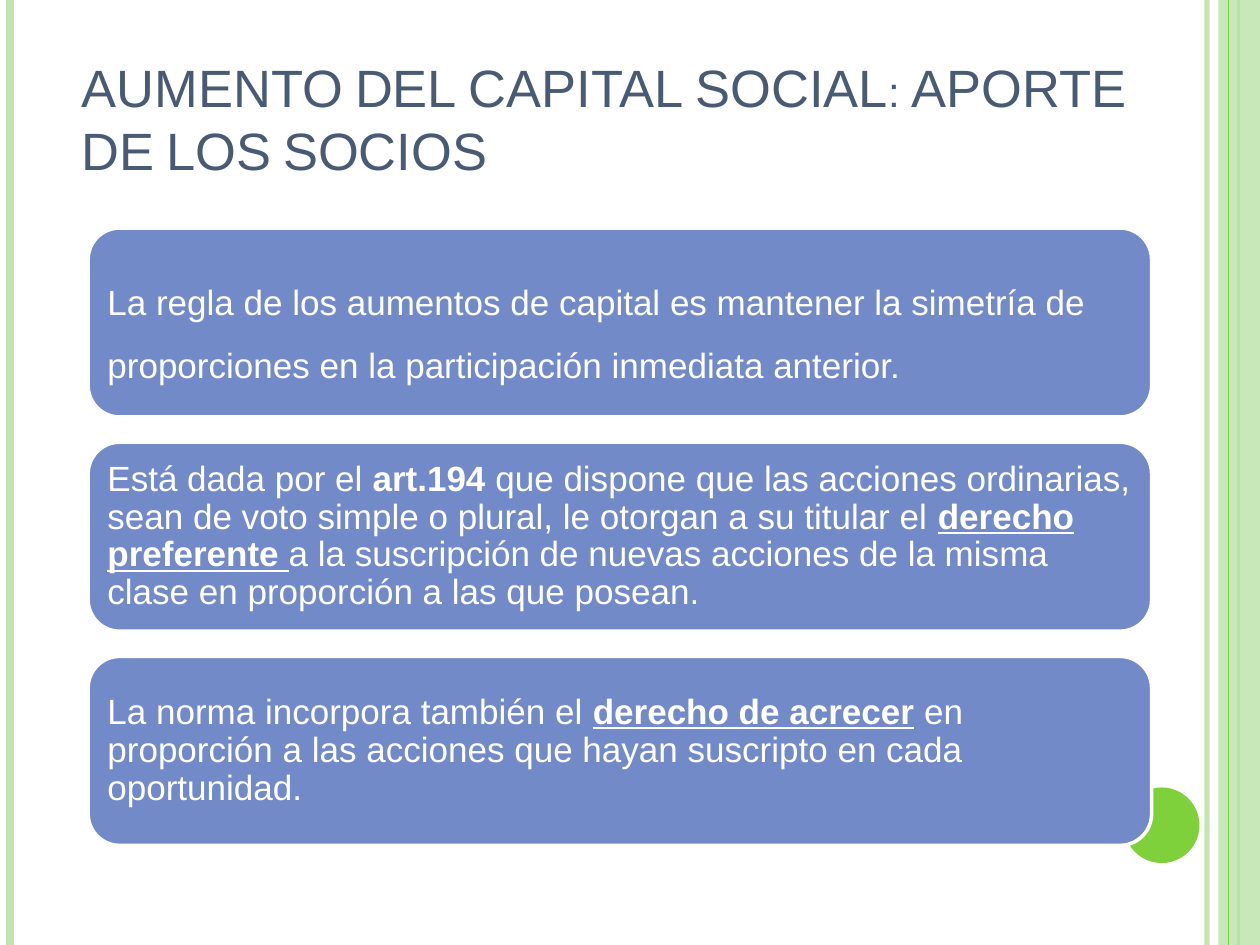
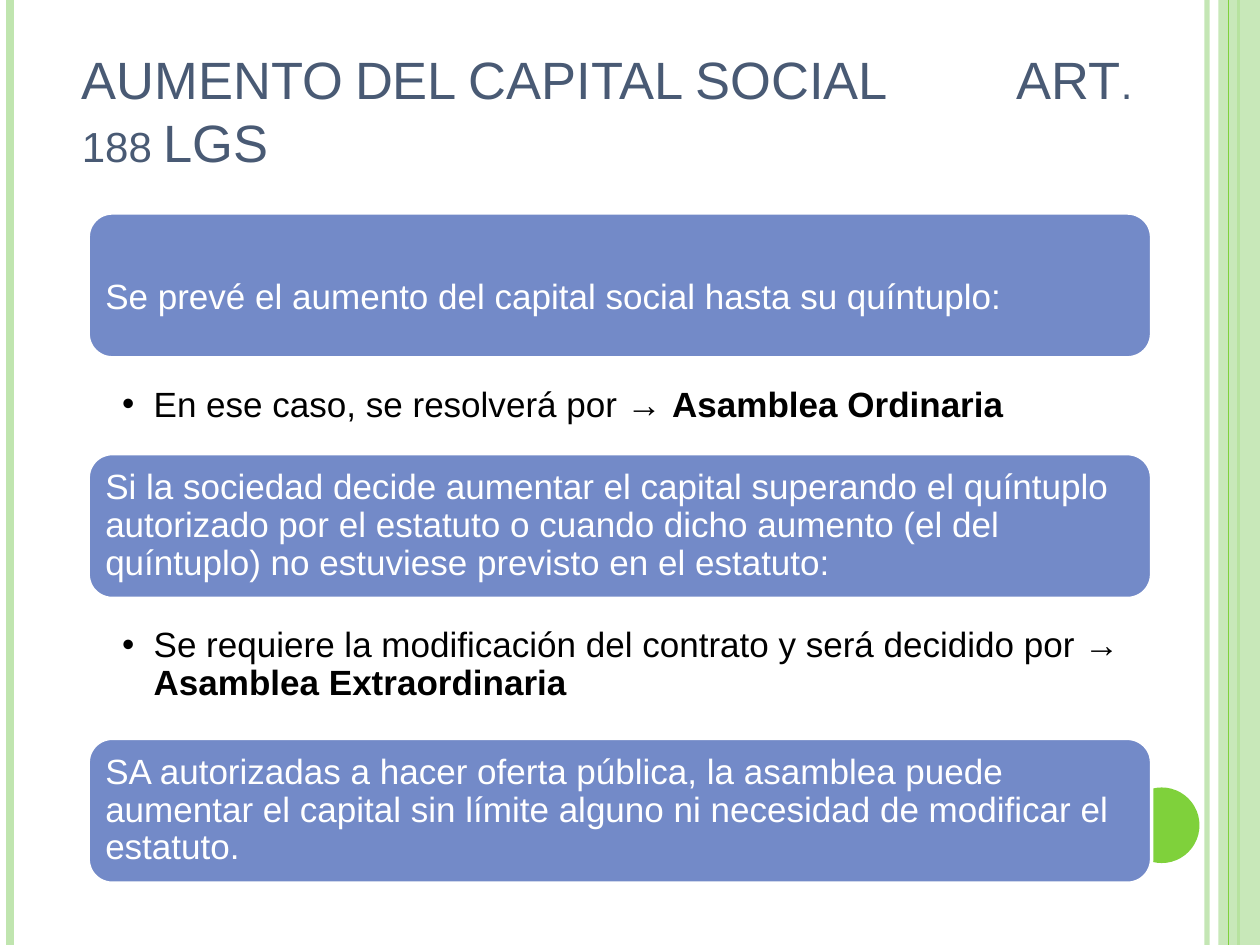
from dataclasses import dataclass

from lxml import etree
from pptx import Presentation
from pptx.dml.color import RGBColor
from pptx.enum.shapes import MSO_CONNECTOR, MSO_SHAPE
from pptx.enum.text import MSO_ANCHOR, MSO_AUTO_SIZE, PP_ALIGN
from pptx.oxml.ns import qn
from pptx.util import Inches, Pt

STRAIGHT = MSO_CONNECTOR.STRAIGHT
RECTANGLE, OVAL, ROUNDED = MSO_SHAPE.RECTANGLE, MSO_SHAPE.OVAL, MSO_SHAPE.ROUNDED_RECTANGLE
TOP, MIDDLE, BOTTOM = MSO_ANCHOR.TOP, MSO_ANCHOR.MIDDLE, MSO_ANCHOR.BOTTOM
LEFT = PP_ALIGN.LEFT
NO_AUTOFIT = MSO_AUTO_SIZE.NONE

PALE_GREEN = RGBColor(0xC0, 0xE5, 0xAF)
GREEN = RGBColor(0x7F, 0xD1, 0x3B)
SLATE = RGBColor(0x49, 0x5A, 0x74)
BLUE = RGBColor(0x73, 0x8A, 0xC8)
WHITE = RGBColor(0xFF, 0xFF, 0xFF)
BLACK = RGBColor(0x00, 0x00, 0x00)
FONT = "Arial"

# The slide is a grid of 100 columns by 75 rows.
COLUMNS, ROWS = 100, 75
WIDTH, HEIGHT = Inches(10), Inches(7.5)
CARD_LEFT, CARD_COLUMNS = 7, 84.4
BULLET_ROWS = 9.6


@dataclass(frozen=True)
class Span:
    text: str
    bold: bool = False
    underline: bool = False


@dataclass(frozen=True)
class Block:
    """A statement: a blue card, or a bullet on the plain background."""
    top: float
    spans: tuple[Span, ...]
    spacing: float = 0.9
    bullet: bool = False


@dataclass(frozen=True)
class Page:
    title: str
    title_top: float
    card_rows: float
    blocks: tuple[Block, ...]
    title_tab: float = 0


@dataclass(frozen=True)
class Stripe:
    column: float
    color: RGBColor
    weight: float
    opacity: int = 100


STRIPES = (
    Stripe(95.8, PALE_GREEN, 3, 93),
    Stripe(0.8, PALE_GREEN, 4.5),
    Stripe(98.3, GREEN, 1.5),
    Stripe(97.5, GREEN, 0.75),
)

PAGES = (
    Page(
        "AUMENTO DEL CAPITAL SOCIAL: APORTE DE LOS SOCIOS", 0.7, 15,
        (
            Block(18.1, (Span(
                "La regla de los aumentos de capital es mantener la simetría de "
                "proporciones en la participación inmediata anterior."),), 1.5),
            Block(35.1, (
                Span("Está dada por el "),
                Span("art.194", bold=True),
                Span(" que dispone que las acciones ordinarias, sean de voto simple "
                     "o plural, le otorgan a su titular el "),
                Span("derecho preferente ", bold=True, underline=True),
                Span("a la suscripción de nuevas acciones de la misma clase en "
                     "proporción a las que posean."))),
            Block(52.1, (
                Span("La norma incorpora también el "),
                Span("derecho de acrecer", bold=True, underline=True),
                Span(" en proporción a las acciones que hayan suscripto en cada "
                     "oportunidad."))),
        ),
    ),
    Page(
        "AUMENTO DEL CAPITAL SOCIAL\tART. 188 LGS", 0, 11.5,
        (
            Block(16.9, (Span(
                "Se prevé el aumento del capital social hasta su quíntuplo:"),), 1.5),
            Block(28.4, (
                Span("En ese caso, se resolverá por → "),
                Span("Asamblea Ordinaria", bold=True)), 1.5, bullet=True),
            Block(36, (Span(
                "Si la sociedad decide aumentar el capital superando el quíntuplo "
                "autorizado por el estatuto o cuando dicho aumento (el del quíntuplo) "
                "no estuviese previsto en el estatuto:"),)),
            Block(49.5, (
                Span("Se requiere la modificación del contrato y será decidido por → "),
                Span("Asamblea Extraordinaria", bold=True)), bullet=True),
            Block(58.6, (Span(
                "SA autorizadas a hacer oferta pública, la asamblea puede aumentar el "
                "capital sin límite alguno ni necesidad de modificar el estatuto."),)),
        ),
        title_tab=74.2,
    ),
)


def col(columns: float) -> int:
    return round(WIDTH * columns / COLUMNS)


def row(rows: float) -> int:
    return round(HEIGHT * rows / ROWS)


def area(left: float, top: float, columns: float, rows: float) -> tuple[int, int, int, int]:
    return col(left), row(top), col(columns), row(rows)


def set_opacity(painted, percent: int) -> None:
    """Give the first solid colour below an element the opacity."""
    color = next(painted.iter(qn("a:srgbClr")))
    etree.SubElement(color, qn("a:alpha"), val=str(percent * 1000))


def add_filled(slide, kind, place: tuple[int, int, int, int], color: RGBColor):
    shape = slide.shapes.add_shape(kind, *place)
    shape.shadow.inherit = False
    shape.fill.solid()
    shape.fill.fore_color.rgb = color
    shape.line.fill.background()
    return shape


def add_stripe(slide, stripe: Stripe) -> None:
    x = col(stripe.column)
    line = slide.shapes.add_connector(STRAIGHT, x, 0, x, HEIGHT)
    line.line.color.rgb = stripe.color
    line.line.width = Pt(stripe.weight)
    properties = line._element.spPr
    if stripe.opacity < 100:
        set_opacity(properties, stripe.opacity)
    etree.SubElement(properties, qn("a:effectLst"))


def add_decoration(slide) -> None:
    for stripe in STRIPES[:-1]:
        add_stripe(slide, stripe)
    band = add_filled(slide, RECTANGLE, area(96.7, 0, 3.3, ROWS), PALE_GREEN)
    set_opacity(band._element.spPr, 87)
    add_stripe(slide, STRIPES[-1])
    add_filled(slide, OVAL, area(89.2, 62.5, 6, 6), GREEN)


def set_frame(frame, anchor, left: float, top: float, right: float, bottom: float) -> None:
    frame.word_wrap = True
    frame.auto_size = NO_AUTOFIT
    frame.vertical_anchor = anchor
    frame.margin_left, frame.margin_right = col(left), col(right)
    frame.margin_top, frame.margin_bottom = row(top), row(bottom)


def set_title(slide, page: Page) -> None:
    title = slide.shapes.title
    title.left, title.top, title.width, title.height = area(5.5, page.title_top, 88, 14.2)
    frame = title.text_frame
    frame.text = page.title
    set_frame(frame, BOTTOM, 1, 0.5, 1, 0.5)
    paragraph = frame.paragraphs[0]
    paragraph.alignment = LEFT
    if page.title_tab:
        tabs = etree.SubElement(paragraph._p.get_or_add_pPr(), qn("a:tabLst"))
        etree.SubElement(tabs, qn("a:tab"), pos=str(col(page.title_tab)), algn="l")
    for run in paragraph.runs:
        run.font.name, run.font.size = FONT, Pt(30)
        run.font.color.rgb = SLATE
        run.font._element.set("cap", "small")


def add_bullet(paragraph) -> None:
    properties = paragraph._p.get_or_add_pPr()
    indent = col(2.5)
    properties.set("marL", str(indent))
    properties.set("indent", str(-indent))
    color = etree.SubElement(properties, qn("a:buClr"))
    etree.SubElement(color, qn("a:srgbClr"), val=str(BLACK))
    etree.SubElement(properties, qn("a:buFont"), typeface=FONT)
    etree.SubElement(properties, qn("a:buChar"), char="•")


def add_block(slide, block: Block, card_rows: float) -> None:
    rows = BULLET_ROWS if block.bullet else card_rows
    place = area(CARD_LEFT, block.top, CARD_COLUMNS, rows)
    if block.bullet:
        frame = slide.shapes.add_textbox(*place).text_frame
        set_frame(frame, TOP, 2.7, 0.3, 1.6, 0.3)
    else:
        card = add_filled(slide, ROUNDED, place, BLUE)
        card.line.color.rgb = WHITE
        card.line.width = Pt(2)
        frame = card.text_frame
        set_frame(frame, MIDDLE, 0.8, 0.8, 0.6, 0.8)
    paragraph = frame.paragraphs[0]
    paragraph.alignment = LEFT
    paragraph.line_spacing = block.spacing
    if block.bullet:
        add_bullet(paragraph)
    for span in block.spans:
        run = paragraph.add_run()
        run.text = span.text
        run.font.name, run.font.size = FONT, Pt(20)
        run.font.bold, run.font.underline = span.bold, span.underline
        run.font.color.rgb = BLACK if block.bullet else WHITE


def main() -> None:
    deck = Presentation()
    deck.slide_width, deck.slide_height = WIDTH, HEIGHT
    title_only = deck.slide_layouts[5]
    for page in PAGES:
        slide = deck.slides.add_slide(title_only)
        add_decoration(slide)
        set_title(slide, page)
        for block in page.blocks:
            add_block(slide, block, page.card_rows)
    deck.save("out.pptx")


if __name__ == "__main__":
    main()
